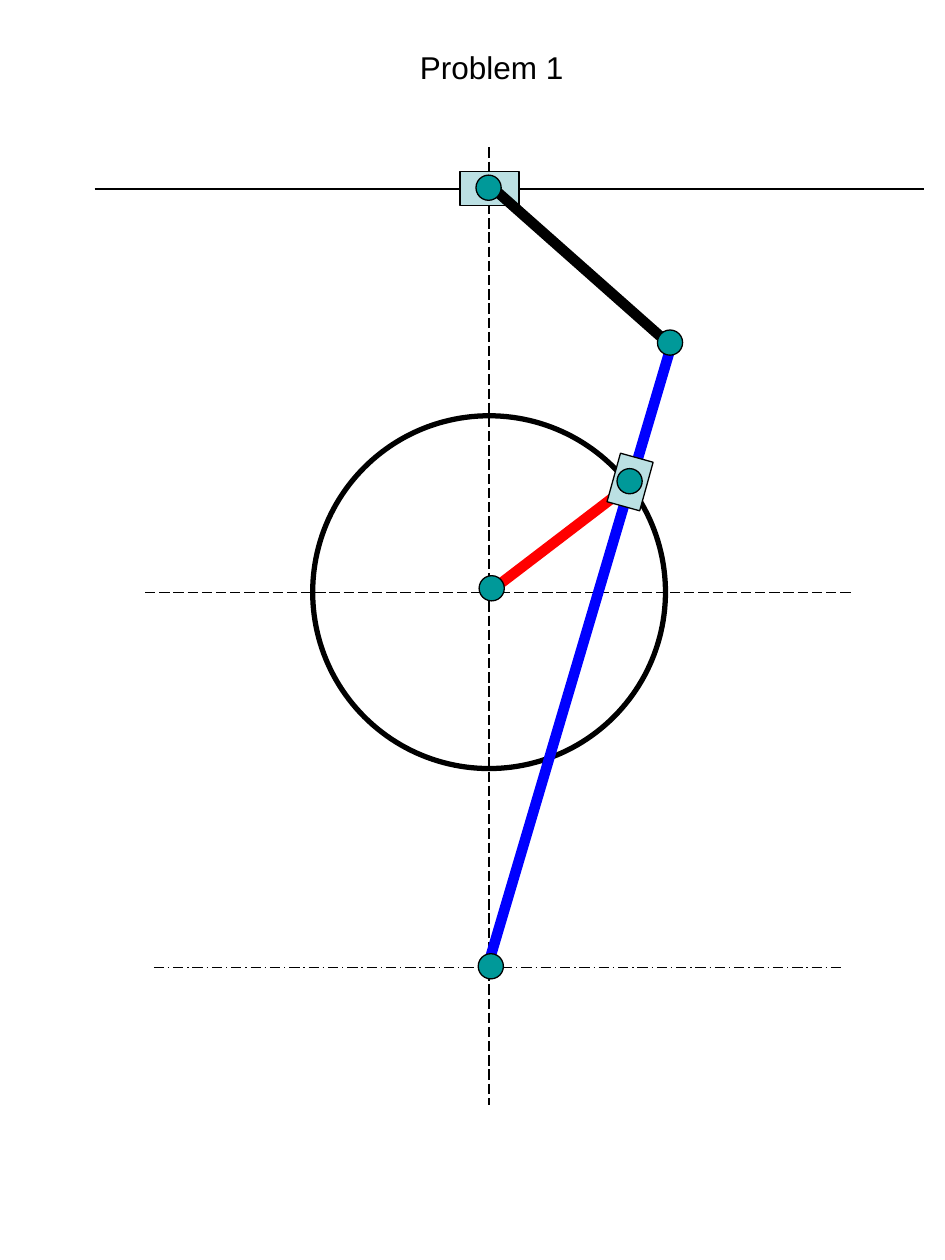
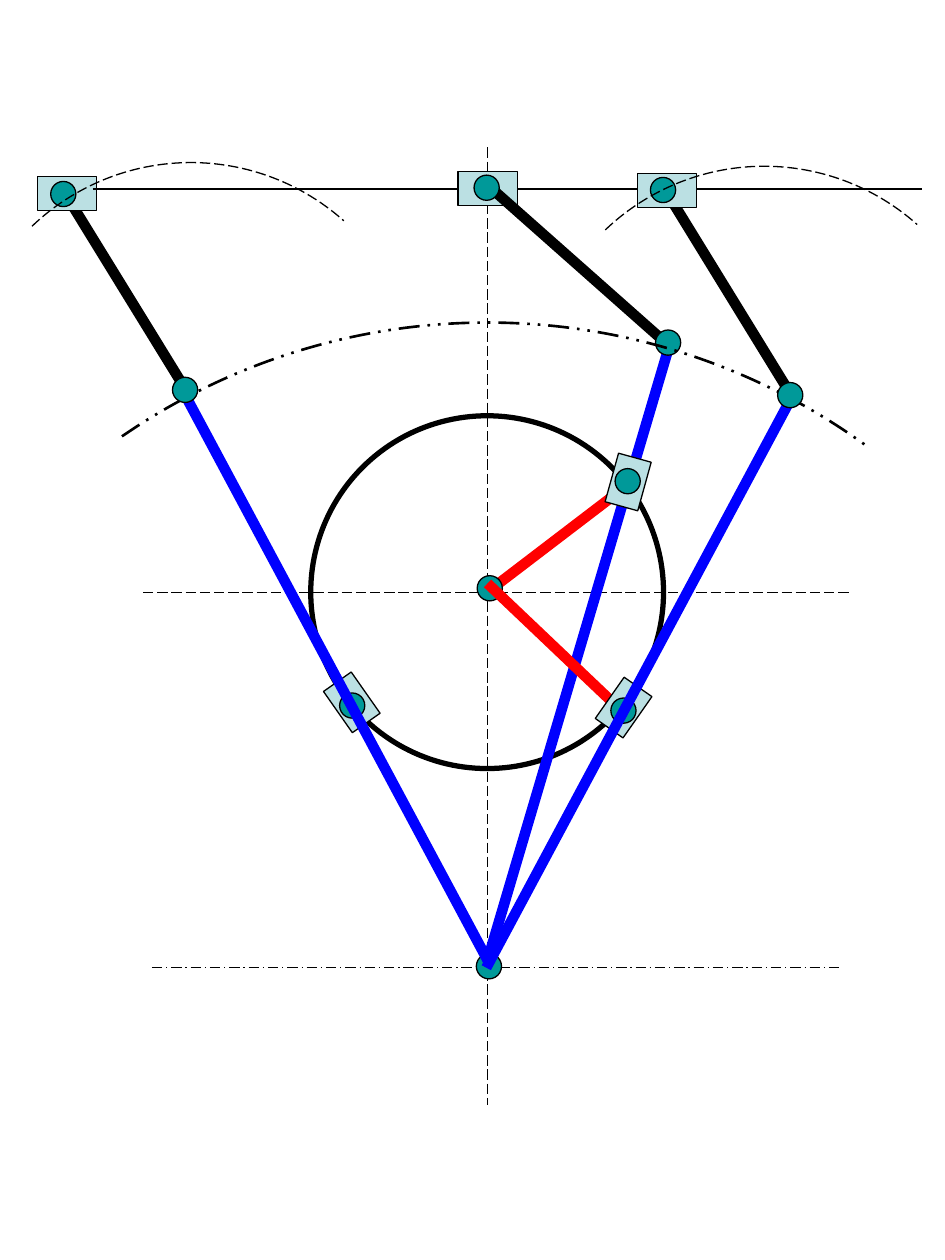
from dataclasses import dataclass

from lxml.etree import SubElement
from pptx import Presentation
from pptx.dml.color import RGBColor
from pptx.enum.dml import MSO_LINE as Dash
from pptx.enum.shapes import MSO_CONNECTOR as Connector, MSO_SHAPE as Preset
from pptx.enum.text import MSO_ANCHOR as Anchor, MSO_AUTO_SIZE as AutoSize, PP_ALIGN as Align
from pptx.oxml.ns import qn
from pptx.util import Pt

BLACK = RGBColor(0x00, 0x00, 0x00)
BLUE = RGBColor(0x00, 0x00, 0xFF)
RED = RGBColor(0xFF, 0x00, 0x00)
TEAL = RGBColor(0x00, 0x99, 0x99)
PALE_BLUE = RGBColor(0xBB, 0xE0, 0xE3)

Point = tuple[float, float]


@dataclass(frozen=True)
class Stroke:
    color: RGBColor = BLACK
    width: float = 0.75
    dash: Dash | None = None


THIN = Stroke()
DASHED = Stroke(dash=Dash.LONG_DASH)
DASH_DOT = Stroke(dash=Dash.LONG_DASH_DOT)
ROCKER_PATH = Stroke(width=1.5, dash=Dash.DASH_DOT_DOT if hasattr(Dash, "DASH_DOT_DOT") else Dash.LONG_DASH_DOT_DOT)
CRANK_PATH = Stroke(width=3)
COUPLER = Stroke(width=6)
ROCKER = Stroke(BLUE, 6)
CRANK = Stroke(RED, 6)


@dataclass(frozen=True)
class Bar:
    start: Point
    end: Point
    stroke: Stroke


@dataclass(frozen=True)
class Oval:
    center: Point
    radius: float = 7.2
    fill: RGBColor | None = TEAL
    stroke: Stroke = THIN


@dataclass(frozen=True)
class Slider:
    center: Point
    width: float = 33.8
    rotation: float = 0


@dataclass(frozen=True)
class Arc:
    center: Point
    radius: float
    start_angle: float
    end_angle: float
    stroke: Stroke


Part = Bar | Oval | Slider | Arc

SLIDER_HEIGHT = 19.4
ROD_SLIDER_WIDTH = 28.8
COUPLER_LENGTH = 131.4
CRANK_Y = 338.4
GUIDE_Y = 108
PIVOT_Y = 553

# The x values of the mechanism are measured from its vertical axis.
MECHANISM: list[Part] = [
    Bar((0, 84.2), (0, 631.4), DASHED),
    Bar((-191.6, PIVOT_Y), (201.6, PIVOT_Y), DASH_DOT),
    Oval((0, CRANK_Y), 100.8, None, CRANK_PATH),
    Bar((-196.6, CRANK_Y), (206.6, CRANK_Y), DASHED),
    Bar((-225.4, GUIDE_Y), (248.4, GUIDE_Y), THIN),
    Slider((0.3, 107.6)),
    Bar((0, 549.4), (105, 194.4), ROCKER),
    Bar((0, CRANK_Y), (82, 275.8), CRANK),
    Oval((1.5, 336.2)),
    Oval((1, 552.2)),
    Slider((80.6, 275.4), ROD_SLIDER_WIDTH, 285.5),
    Oval((80.3, 275)),
    Bar((104.4, 198), (2.8, GUIDE_Y), COUPLER),
    Oval((-0.3, 107.3)),
    Oval((103.4, 195.8)),
]

LEFT_COUPLER: list[Part] = [
    Bar((108.7, 226.8), (37.4, 110.9), COUPLER),
    Slider((38.5, 110.5)),
    Oval((36.2, 110.9)),
]

LIMIT_POSITIONS: list[Part] = [
    Bar((278.6, 333.4), (353.5, 404.6), CRANK),
    Slider((356.4, 404.3), ROD_SLIDER_WIDTH, 305),
    Oval((356.3, 406.1)),
    Arc((278.6, 552.2), 367.9, 235.4, 306.3, ROCKER_PATH),
    Bar((277.9, PIVOT_Y), (452.9, 226.1), ROCKER),
    Bar((451.4, 224.6), (380.2, 108.7), COUPLER),
    Oval((451.6, 225.8)),
    Slider((381.2, 108.9)),
    Oval((378.9, 108.6)),
    Arc((436.7, 226.4), COUPLER_LENGTH, 226.3, 311.7, DASHED),
    Slider((201, 401.4), ROD_SLIDER_WIDTH, 55),
    Oval((201.3, 403.2)),
    Bar((279.4, 550.1), (104.4, 223.2), ROCKER),
    Oval((105.8, 222.8)),
    Arc((109.1, 224.3), COUPLER_LENGTH, 226.3, 311.7, DASHED),
]


def apply_stroke(line, stroke: Stroke) -> None:
    line.color.rgb = stroke.color
    line.width = Pt(stroke.width)
    if stroke.dash is not None:
        line.dash_style = stroke.dash


def draw_bar(slide, bar: Bar, axis_x: float) -> None:
    (x1, y1), (x2, y2) = bar.start, bar.end
    link = slide.shapes.add_connector(
        Connector.STRAIGHT, Pt(axis_x + x1), Pt(y1), Pt(axis_x + x2), Pt(y2))
    apply_stroke(link.line, bar.stroke)
    SubElement(link._element.spPr, qn("a:effectLst"))


def add_centered(slide, preset: Preset, center: Point, width: float, height: float,
                 fill: RGBColor | None, stroke: Stroke):
    x, y = center
    shape = slide.shapes.add_shape(
        preset, Pt(x - width / 2), Pt(y - height / 2), Pt(width), Pt(height))
    shape.shadow.inherit = False
    if fill is None:
        shape.fill.background()
    else:
        shape.fill.solid()
        shape.fill.fore_color.rgb = fill
    apply_stroke(shape.line, stroke)
    return shape


def draw(slide, parts: list[Part], axis_x: float = 0) -> None:
    """Draw the parts from back to front, with x counted from axis_x."""
    for part in parts:
        if isinstance(part, Bar):
            draw_bar(slide, part, axis_x)
            continue
        center = (axis_x + part.center[0], part.center[1])
        if isinstance(part, Slider):
            block = add_centered(slide, Preset.RECTANGLE, center, part.width,
                                 SLIDER_HEIGHT, PALE_BLUE, THIN)
            block.rotation = part.rotation
        elif isinstance(part, Oval):
            add_centered(slide, Preset.OVAL, center, 2 * part.radius, 2 * part.radius,
                         part.fill, part.stroke)
        else:
            arc = add_centered(slide, Preset.ARC, center, 2 * part.radius,
                               2 * part.radius, None, part.stroke)
            # An arc angle is stored in 1/60000 degree, an adjustment in 1/100000.
            arc.adjustments[0] = part.start_angle * 0.6
            arc.adjustments[1] = part.end_angle * 0.6


def set_title(slide, text: str) -> None:
    title = slide.shapes.title
    title.left, title.top, title.width, title.height = Pt(224), Pt(24), Pt(114), Pt(29)
    frame = title.text_frame
    frame.text = text
    frame.word_wrap = True
    frame.auto_size = AutoSize.SHAPE_TO_FIT_TEXT
    frame.vertical_anchor = Anchor.TOP
    frame.margin_left = frame.margin_right = Pt(7.2)
    frame.margin_top = frame.margin_bottom = Pt(3.6)
    paragraph = frame.paragraphs[0]
    paragraph.alignment = Align.CENTER
    font = paragraph.runs[0].font
    font.name, font.size, font.color.rgb = "Arial", Pt(18), BLACK


def main() -> None:
    deck = Presentation()
    deck.slide_width, deck.slide_height = Pt(540), Pt(720)
    title_only, blank = deck.slide_layouts[5], deck.slide_layouts[6]

    problem = deck.slides.add_slide(title_only)
    set_title(problem, "Problem 1")
    draw(problem, MECHANISM, axis_x=279.5)

    solution = deck.slides.add_slide(blank)
    draw(solution, LEFT_COUPLER)
    draw(solution, MECHANISM, axis_x=278.4)
    draw(solution, LIMIT_POSITIONS)

    deck.save("out.pptx")


if __name__ == "__main__":
    main()
